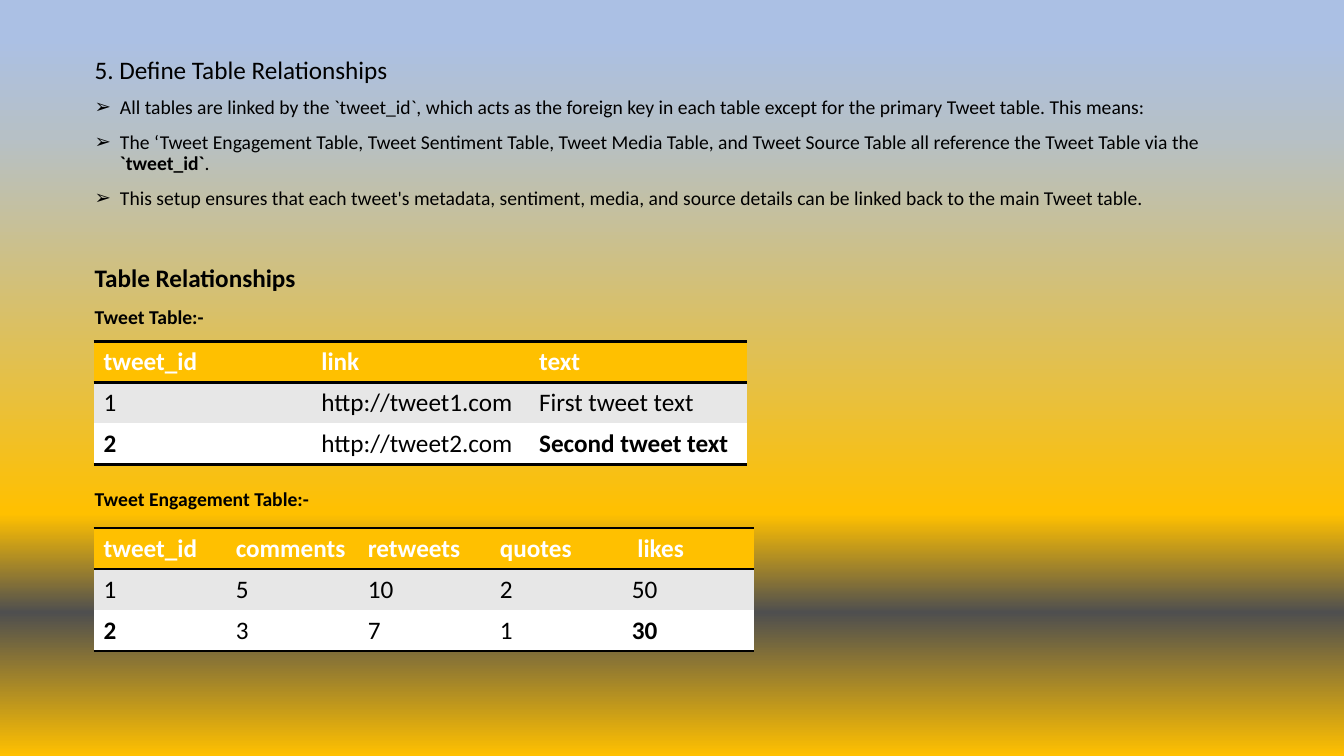
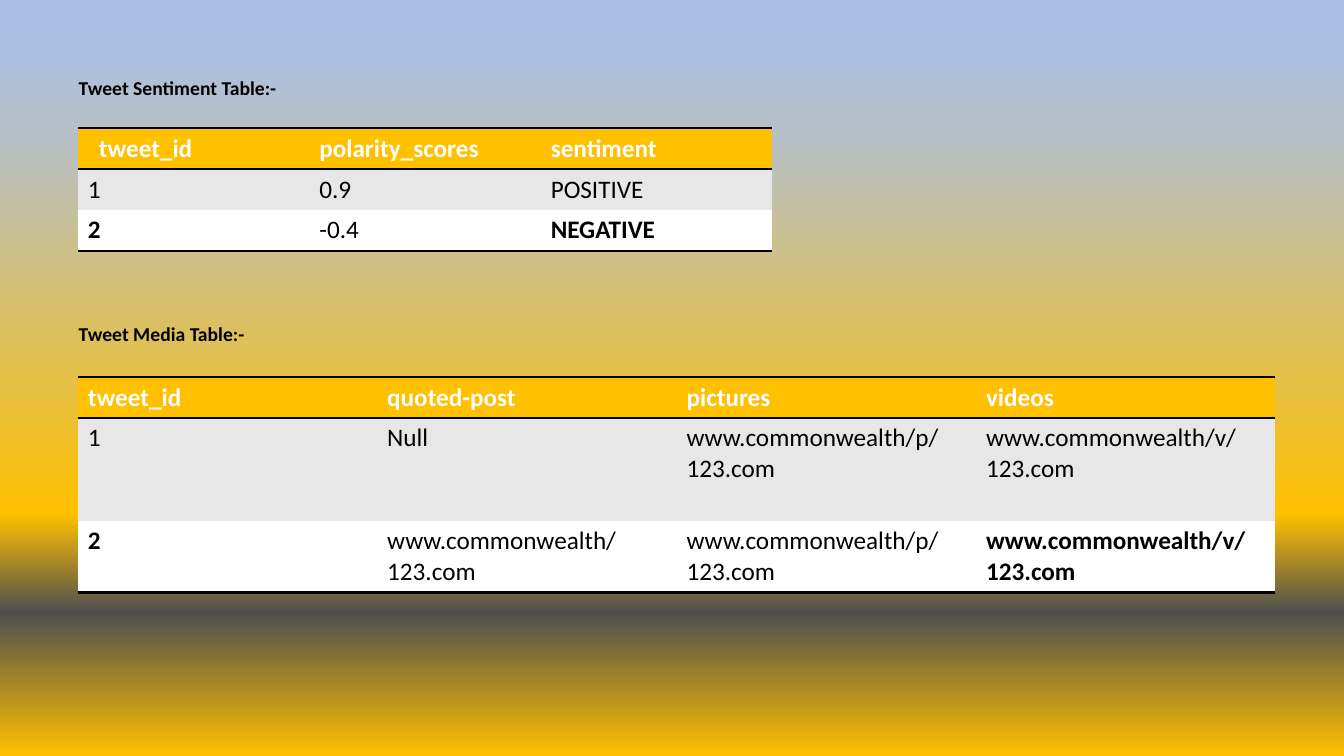
from lxml.etree import SubElement
from pptx import Presentation
from pptx.dml.color import RGBColor
from pptx.enum.text import MSO_ANCHOR, MSO_AUTO_SIZE, PP_ALIGN
from pptx.oxml.ns import qn
from pptx.util import Cm, Pt

FONT = "Calibri"
COLORS = {
    "text": "000000", "header_text": "FFFFFF", "header": "FFC000",
    "odd_row": "E7E7E7", "even_row": "FFFFFF", "rule": "000000",
}
BACKGROUND_STOPS = [(5, "ABC0E4"), (18, "B6C0C6"), (68, "FFC000"),
                    (81, "4F4F4F"), (100, "FFC000")]
HEADING, BODY = 18, 14
ROW = 1.03  # height of a one-line table row, in cm


# Shared styling
def paint_background(master):
    fill = master.background.fill
    fill.gradient()
    fill.gradient_angle = 270
    stops = master.element.find(".//" + qn("p:bg")).find(".//" + qn("a:gsLst"))
    for stop in list(stops):
        stops.remove(stop)
    for percent, color in BACKGROUND_STOPS:
        stop = SubElement(stops, qn("a:gs"), pos=str(percent * 1000))
        SubElement(stop, qn("a:srgbClr"), val=color)


def style_runs(paragraph, size, color="text", bold=False):
    for run in paragraph.runs:
        run.font.name = FONT
        run.font.size = Pt(size)
        run.font.bold = bold
        run.font.color.rgb = RGBColor.from_string(COLORS[color])


def style_paragraph(paragraph, size, bold=False, before=10, bullet=None):
    paragraph.alignment = PP_ALIGN.LEFT
    paragraph.line_spacing = 0.9
    paragraph.space_before = Pt(before)
    style_runs(paragraph, size, bold=bold)
    properties = paragraph._p.get_or_add_pPr()
    indent = Cm(0.64) if bullet else 0
    properties.set("marL", str(indent))
    properties.set("indent", str(-indent))
    if bullet:
        SubElement(properties, qn("a:buFont"), typeface="Wingdings 3")
        properties[-1].set("typeface", "Arial")
        SubElement(properties, qn("a:buChar"), char=bullet)
    else:
        SubElement(properties, qn("a:buNone"))


def place(placeholder, left, top, width, height):
    placeholder.left, placeholder.top = Cm(left), Cm(top)
    placeholder.width, placeholder.height = Cm(width), Cm(height)
    frame = placeholder.text_frame
    frame.word_wrap = True
    frame.auto_size = MSO_AUTO_SIZE.NONE
    frame.vertical_anchor = MSO_ANCHOR.TOP
    return frame


def add_title(slide, text, box, size, bold=False):
    frame = place(slide.shapes.title, *box)
    frame.text = text
    style_paragraph(frame.paragraphs[0], size, bold)


def add_body(slide, entries, box):
    """Each entry is a list of (text, bold) pieces and its paragraph options."""
    frame = place(slide.placeholders[1], *box)
    for index, (pieces, options) in enumerate(entries):
        paragraph = frame.paragraphs[0] if index == 0 else frame.add_paragraph()
        for text, _ in pieces:
            paragraph.add_run().text = text
        style_paragraph(paragraph, **options)
        for run, (_, bold) in zip(paragraph.runs, pieces):
            run.font.bold = bold


# Tables
def set_borders(cell, ruled_sides):
    properties = cell._tc.get_or_add_tcPr()
    for side in "LRTB":
        line = SubElement(properties, qn("a:ln" + side), w=str(Pt(2)))
        if side in ruled_sides:
            fill = SubElement(line, qn("a:solidFill"))
            SubElement(fill, qn("a:srgbClr"), val=COLORS["rule"])
        else:
            SubElement(line, qn("a:noFill"))


def add_data_table(slide, rows, left, top, width, heights=(ROW,) * 3,
                   header_indents=None):
    last_row, last_column = len(rows) - 1, len(rows[0]) - 1
    table = slide.shapes.add_table(
        len(rows), len(rows[0]), Cm(left), Cm(top), Cm(width),
        Cm(sum(heights))).table
    table.horz_banding = False
    for row, height in zip(table.rows, heights):
        row.height = Cm(height)
    for r, values in enumerate(rows):
        sides = ("T" if r < 2 else "") + ("B" if r in (0, last_row) else "")
        fill = "header" if r == 0 else "odd_row" if r % 2 else "even_row"
        for c, value in enumerate(values):
            cell = table.cell(r, c)
            set_borders(cell, sides)
            cell.fill.solid()
            cell.fill.fore_color.rgb = RGBColor.from_string(COLORS[fill])
            cell.text = value
            bold = r == 0 or (r == last_row and c in (0, last_column))
            style_runs(cell.text_frame.paragraphs[0], HEADING,
                       "text" if r else "header_text", bold)
    for column, indent in (header_indents or {}).items():
        table.cell(0, column).margin_left = Cm(0.25 + indent)


# Slides
def build_relationships(slide):
    left, width = 2.13, 29.39
    add_title(slide, "5. Define Table Relationships", (left, 1.32, width, 1),
              HEADING)
    bullet = {"size": BODY, "bullet": "➢"}
    add_body(slide, [
        ([("All tables are linked by the `tweet_id`, which acts as the foreign "
           "key in each table except for the primary Tweet table. This means:",
           False)], bullet),
        ([("The ‘Tweet Engagement Table, Tweet Sentiment Table, Tweet Media "
           "Table, and Tweet Source Table all reference the Tweet Table via "
           "the ", False), ("`tweet_id`", True), (".", False)], bullet),
        ([("This setup ensures that each tweet's metadata, sentiment, media, "
           "and source details can be linked back to the main Tweet table.",
           False)], bullet),
        ([("Table Relationships", True)], {"size": HEADING, "before": 40}),
        ([("Tweet Table:-", True)], {"size": BODY}),
        ([("Tweet Engagement Table:-", True)], {"size": BODY, "before": 115}),
    ], (left, 2.32, width, 14.8))
    add_data_table(slide, [
        ["tweet_id", "link", "text"],
        ["1", "http://tweet1.com", "First tweet text"],
        ["2", "http://tweet2.com", "Second tweet text"],
    ], 2.36, 8.61, 16.46)
    add_data_table(slide, [
        ["tweet_id", "comments", "retweets", "quotes", "likes"],
        ["1", "5", "10", "2", "50"],
        ["2", "3", "7", "1", "30"],
    ], 2.36, 13.31, 16.64, header_indents={4: 0.14})


def build_sentiment_and_media(slide):
    left, width = 1.73, 29.79
    add_title(slide, "Tweet Sentiment Table:-", (left, 1.85, width, 1), BODY,
              bold=True)
    add_body(slide, [([("Tweet Media Table:-", True)], {"size": BODY})],
             (left, 8.04, width, 1))
    add_data_table(slide, [
        ["tweet_id", "polarity_scores", "sentiment"],
        ["1", "0.9", "POSITIVE"],
        ["2", "-0.4", "NEGATIVE"],
    ], 1.96, 3.23, 17.5, header_indents={0: 0.28})
    pictures, videos = "www.commonwealth/p/123.com", "www.commonwealth/v/123.com"
    add_data_table(slide, [
        ["tweet_id", "quoted-post", "pictures", "videos"],
        ["1", "Null", pictures, videos],
        ["2", "www.commonwealth/123.com", pictures, videos],
    ], 1.96, 9.5, 30.18, heights=(ROW, 2.59, 1.78))


def main():
    deck = Presentation()
    deck.slide_width, deck.slide_height = Cm(33.87), Cm(19.05)
    paint_background(deck.slide_master)
    for build in (build_relationships, build_sentiment_and_media):
        build(deck.slides.add_slide(deck.slide_layouts[1]))
    deck.save("out.pptx")


if __name__ == "__main__":
    main()
